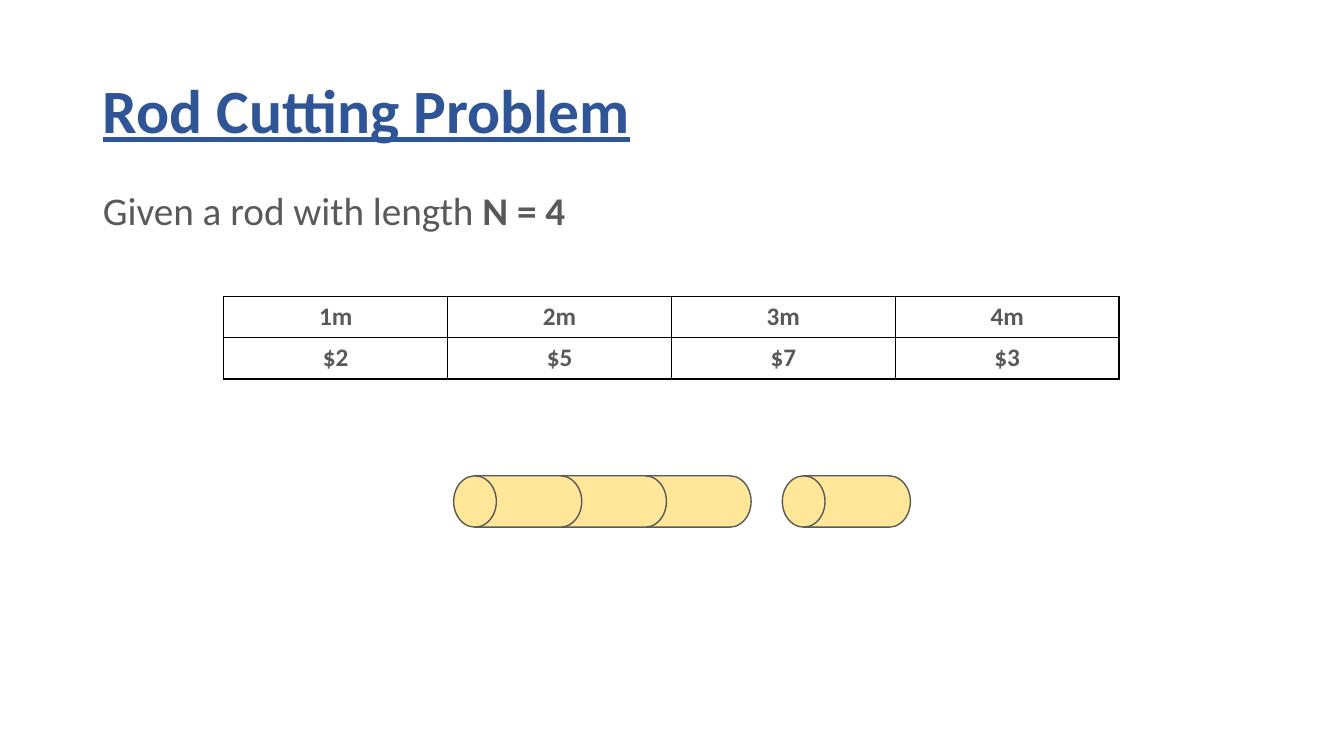
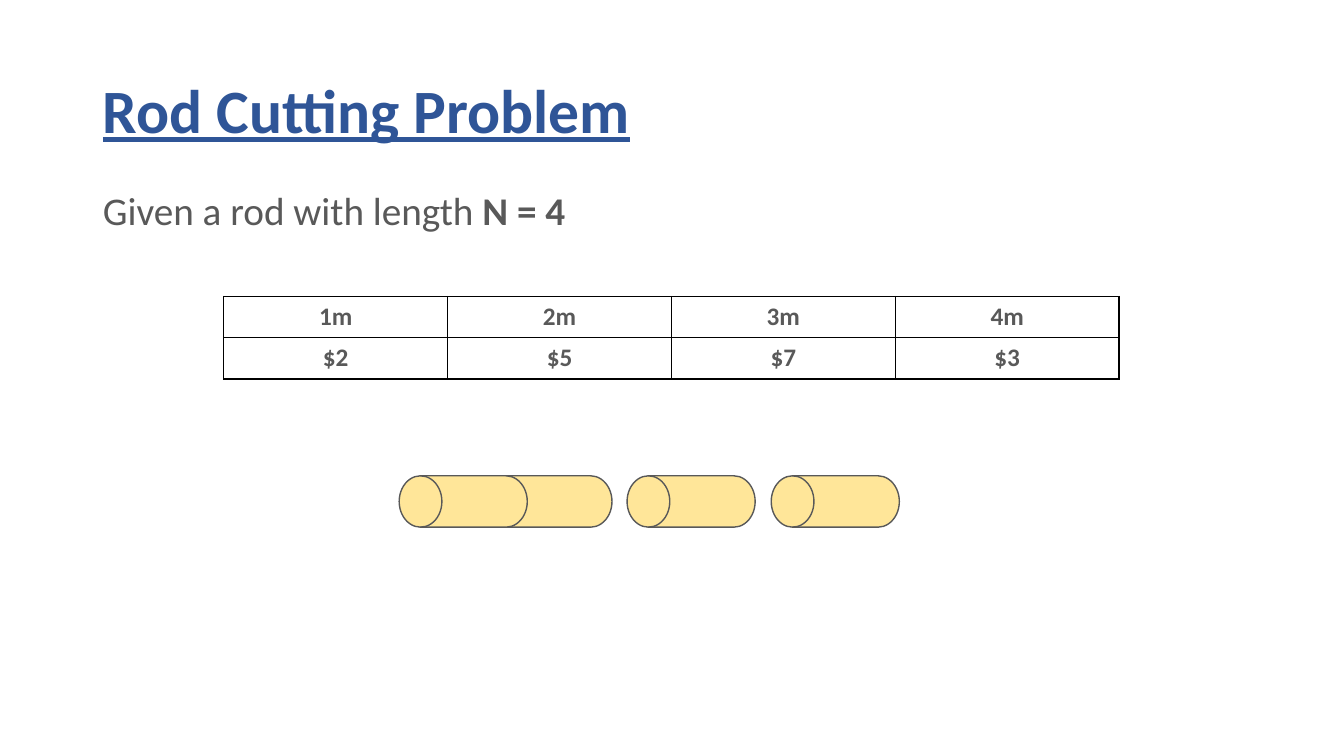
import dataclasses

import lxml.etree
import pptx
import pptx.dml.color
import pptx.enum.shapes
import pptx.enum.text
import pptx.oxml.ns
import pptx.util

EMU_PER_PX = 9144  # 100 px to the inch


@dataclasses.dataclass(frozen=True)
class Theme:
    font: str = "Calibri"
    title_color: str = "2F5597"
    text_color: str = "595959"
    rod_color: str = "FFE699"
    border_color: str = "000000"
    title_size: int = 44
    body_size: int = 28
    cell_size: int = 18
    line_width: int = 1


THEME = Theme()
PRICES = [["1m", "2m", "3m", "4m"], ["$2", "$5", "$7", "$3"]]
COLUMN_WIDTH, ROW_HEIGHT = 222, 41
ROD_TOP, ROD_LENGTH, ROD_THICKNESS, ROD_STEP = 472, 127, 51, 84

# Each cut is a list of pieces: left edge in px and length in metres.
CUTS = [
    [(450, 3), (776, 1)],
    [(396, 2), (622, 1), (765, 1)],
]


def px(value):
    return pptx.util.Emu(value * EMU_PER_PX)


def rgb(color):
    return pptx.dml.color.RGBColor.from_string(color)


def style_font(font, size, color, bold=False, underline=False):
    font.name = THEME.font
    font.size = pptx.util.Pt(size)
    font.color.rgb = rgb(color)
    font.bold = bold
    font.underline = underline


def place(shape, left, top, width, height):
    shape.left, shape.top = px(left), px(top)
    shape.width, shape.height = px(width), px(height)


def format_placeholder(placeholder, box, anchor):
    """Move a placeholder and give its only paragraph the shared layout."""
    place(placeholder, *box)
    frame = placeholder.text_frame
    frame.auto_size = pptx.enum.text.MSO_AUTO_SIZE.NONE
    frame.vertical_anchor = anchor
    paragraph = frame.paragraphs[0]
    paragraph.alignment = pptx.enum.text.PP_ALIGN.LEFT
    paragraph.line_spacing = 0.9
    paragraph.space_before = pptx.util.Pt(0)
    return paragraph


def add_title(slide, text):
    title = slide.shapes.title
    title.text_frame.text = text
    paragraph = format_placeholder(
        title, (92, 40, 1150, 145), pptx.enum.text.MSO_ANCHOR.MIDDLE)
    style_font(paragraph.runs[0].font, THEME.title_size, THEME.title_color,
               bold=True, underline=True)


def add_statement(slide, text, emphasis):
    paragraph = format_placeholder(
        slide.placeholders[1], (92, 185, 1150, 525), pptx.enum.text.MSO_ANCHOR.TOP)
    properties = paragraph._p.get_or_add_pPr()
    properties.set("marL", "0")
    properties.set("indent", "0")
    lxml.etree.SubElement(properties, pptx.oxml.ns.qn("a:buNone"))
    for words, bold in ((text, False), (emphasis, True)):
        run = paragraph.add_run()
        run.text = words
        style_font(run.font, THEME.body_size, THEME.text_color, bold)


def add_borders(cell):
    qn = pptx.oxml.ns.qn
    properties = cell._tc.get_or_add_tcPr()
    for side in ("a:lnL", "a:lnR", "a:lnT", "a:lnB"):
        border = lxml.etree.SubElement(
            properties, qn(side), w=str(pptx.util.Pt(THEME.line_width)))
        fill = lxml.etree.SubElement(border, qn("a:solidFill"))
        lxml.etree.SubElement(fill, qn("a:srgbClr"), val=THEME.border_color)


def add_price_table(slide, prices):
    rows, columns = len(prices), len(prices[0])
    table = slide.shapes.add_table(
        rows, columns, px(222), px(294),
        px(columns * COLUMN_WIDTH), px(rows * ROW_HEIGHT)).table
    table.first_row = False
    table.horz_banding = False
    for row, values in enumerate(prices):
        for column, value in enumerate(values):
            cell = table.cell(row, column)
            add_borders(cell)
            cell.fill.background()
            cell.text_frame.text = value
            paragraph = cell.text_frame.paragraphs[0]
            paragraph.alignment = pptx.enum.text.PP_ALIGN.CENTER
            style_font(paragraph.runs[0].font, THEME.cell_size,
                       THEME.text_color, bold=True)


def add_rod_unit(slide, left):
    """Draw one metre of rod: an upright disk turned on its side."""
    turn_offset = (ROD_LENGTH - ROD_THICKNESS) // 2
    unit = slide.shapes.add_shape(
        pptx.enum.shapes.MSO_SHAPE.FLOWCHART_MAGNETIC_DISK,
        px(left + turn_offset), px(ROD_TOP - turn_offset),
        px(ROD_THICKNESS), px(ROD_LENGTH))
    unit.rotation = 270
    unit.shadow.inherit = False
    unit.fill.solid()
    unit.fill.fore_color.rgb = rgb(THEME.rod_color)
    unit.line.color.rgb = rgb(THEME.text_color)
    unit.line.width = pptx.util.Pt(THEME.line_width)


def add_rod_piece(slide, left, metres):
    """Draw from right to left so that each unit overlaps the next one."""
    for index in reversed(range(metres)):
        add_rod_unit(slide, left + index * ROD_STEP)


def add_cut_slide(deck, pieces):
    slide = deck.slides.add_slide(deck.slide_layouts[1])
    add_title(slide, "Rod Cutting Problem")
    add_statement(slide, "Given a rod with length ", "N = 4")
    add_price_table(slide, PRICES)
    for left, metres in reversed(pieces):
        add_rod_piece(slide, left, metres)


def main():
    deck = pptx.Presentation()
    deck.slide_width, deck.slide_height = px(1333), px(750)
    for pieces in CUTS:
        add_cut_slide(deck, pieces)
    deck.save("out.pptx")


if __name__ == "__main__":
    main()
